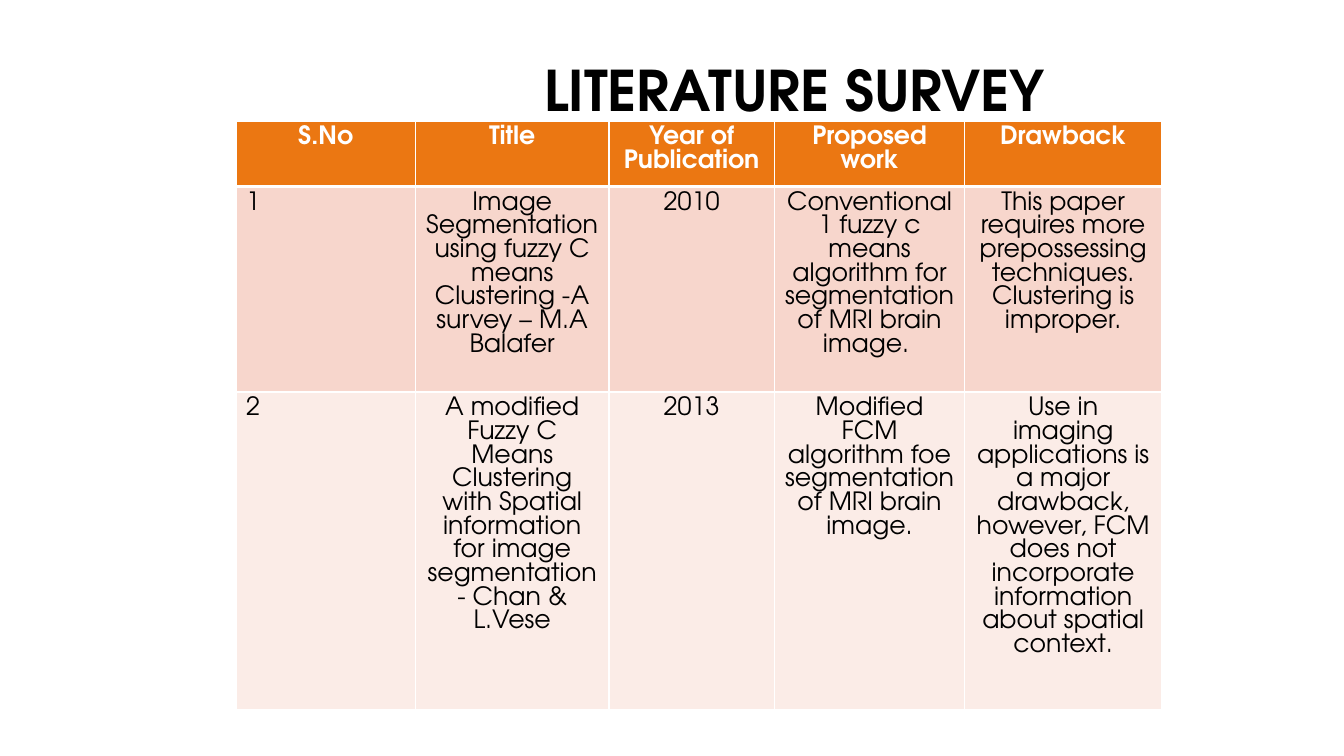
from dataclasses import dataclass

from lxml.etree import SubElement
from pptx import Presentation
from pptx.dml.color import RGBColor
from pptx.enum.text import MSO_ANCHOR, PP_ALIGN
from pptx.oxml.ns import qn
from pptx.slide import Slide
from pptx.table import _Cell
from pptx.text.text import _Paragraph
from pptx.util import Inches, Pt

FONT = "TeX Gyre Adventor"
BLACK = RGBColor(0x00, 0x00, 0x00)
WHITE = RGBColor(0xFF, 0xFF, 0xFF)
ORANGE = RGBColor(0xEB, 0x77, 0x12)
PEACH = RGBColor(0xF7, 0xD6, 0xCC)
PALE_PEACH = RGBColor(0xFB, 0xEC, 0xE7)

TITLE_FORMAT = {"name": FONT, "size": Pt(40), "bold": True}
HEADER_FORMAT = {"name": FONT, "size": Pt(18), "bold": True}
BODY_FORMAT = {"name": FONT, "size": Pt(18), "bold": False}
CELL_LINE_SPACING = Pt(16.9)
THIN, THICK = Pt(1), Pt(3)


@dataclass
class SurveyRow:
    height: float
    fill: RGBColor
    texts: tuple[str, ...]


COLUMN_WIDTHS = (1.78, 1.92, 1.64, 1.89, 1.95)
SURVEY = (
    SurveyRow(0.65, ORANGE, (
        "S.No", "Title", "Year of Publication", "Proposed work", "Drawback")),
    SurveyRow(2.04, PEACH, (
        "1",
        "Image Segmentation using fuzzy C means Clustering -A survey – M.A Balafer",
        "2010",
        "Conventional 1 fuzzy c means algorithm for segmentation of MRI brain image. ",
        "This paper requires more prepossessing techniques. Clustering is improper.")),
    SurveyRow(3.15, PALE_PEACH, (
        "2",
        "A modified Fuzzy C Means Clustering with Spatial information "
        "for image segmentation- Chan & L.Vese",
        "2013",
        "Modified FCM algorithm foe segmentation of MRI brain image.",
        "Use in imaging applications is a major drawback, however, FCM does not "
        "incorporate information about spatial context.")),
)


def write(p: _Paragraph, text: str, font_format: dict, color: RGBColor,
          align: PP_ALIGN, spacing: float) -> None:
    p.alignment = align
    p.line_spacing = spacing
    r = p.add_run()
    r.text = text
    for name, value in font_format.items():
        setattr(r.font, name, value)
    r.font.color.rgb = color


def set_borders(cell: _Cell, top: int, bottom: int) -> None:
    tc_pr = cell._tc.get_or_add_tcPr()
    widths = {"a:lnL": THIN, "a:lnR": THIN, "a:lnT": top, "a:lnB": bottom}
    for tag, width in widths.items():
        ln = SubElement(tc_pr, qn(tag), w=str(int(width)))
        fill = SubElement(ln, qn("a:solidFill"))
        SubElement(fill, qn("a:srgbClr"), val=str(WHITE))


def add_title(s: Slide) -> None:
    sp = s.shapes.add_textbox(Inches(3.17), Inches(0.22), Inches(9.42), Inches(1.41))
    tf = sp.text_frame
    tf.word_wrap = True
    tf.vertical_anchor = MSO_ANCHOR.MIDDLE
    write(tf.paragraphs[0], "LITERATURE SURVEY", TITLE_FORMAT, BLACK,
          PP_ALIGN.CENTER, 0.9)


def add_survey_table(s: Slide) -> None:
    table = s.shapes.add_table(
        len(SURVEY), len(COLUMN_WIDTHS), Inches(2.34), Inches(1.2),
        Inches(sum(COLUMN_WIDTHS)), Inches(sum(row.height for row in SURVEY))).table
    for column, width in zip(table.columns, COLUMN_WIDTHS):
        column.width = Inches(width)
    for i, row in enumerate(SURVEY):
        table.rows[i].height = Inches(row.height)
        header = i == 0
        for j, text in enumerate(row.texts):
            cell = table.cell(i, j)
            # Borders come before the fill in the cell properties
            set_borders(cell, THICK if i == 1 else THIN, THICK if header else THIN)
            cell.fill.solid()
            cell.fill.fore_color.rgb = row.fill
            write(cell.text_frame.paragraphs[0], text,
                  HEADER_FORMAT if header else BODY_FORMAT,
                  WHITE if header else BLACK,
                  PP_ALIGN.CENTER if header or j else PP_ALIGN.LEFT,
                  CELL_LINE_SPACING)


def main() -> None:
    prs = Presentation()
    prs.slide_width, prs.slide_height = Inches(13.33), Inches(7.5)
    s = prs.slides.add_slide(prs.slide_layouts[6])
    add_title(s)
    add_survey_table(s)
    prs.save("out.pptx")


if __name__ == "__main__":
    main()
